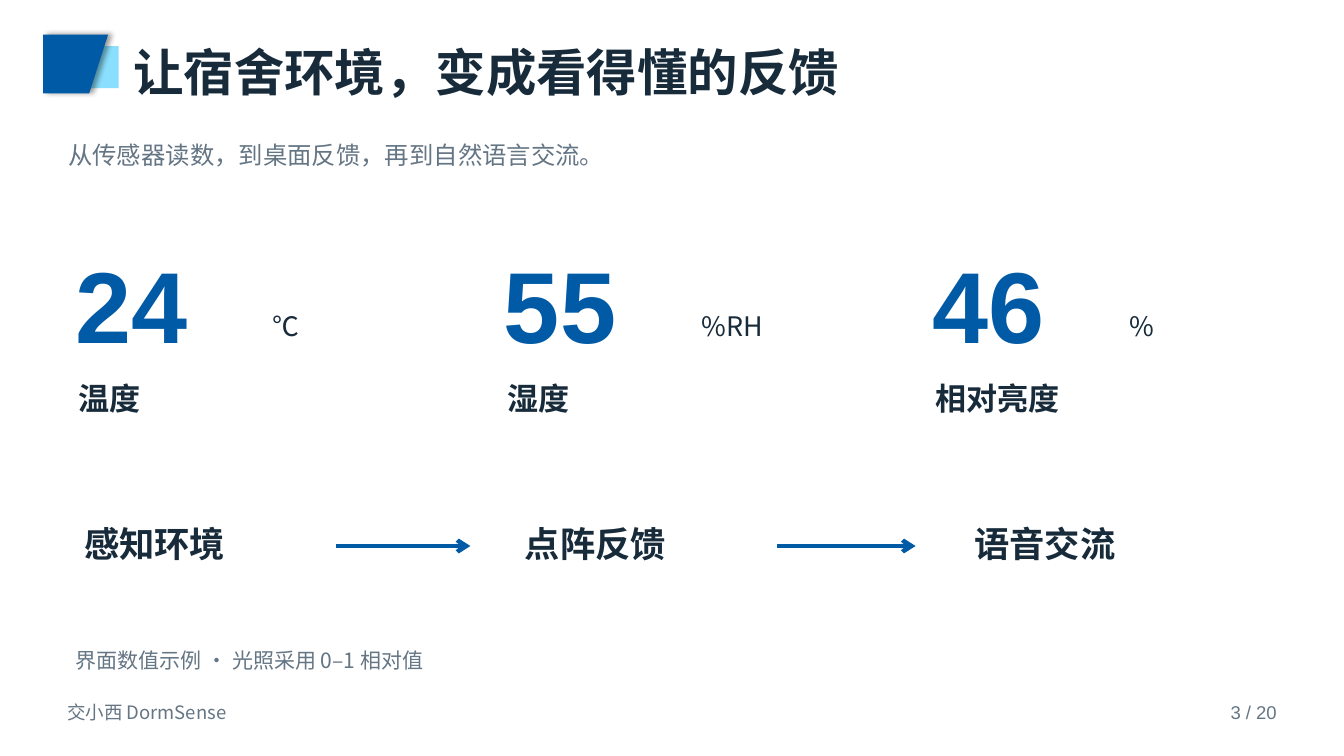
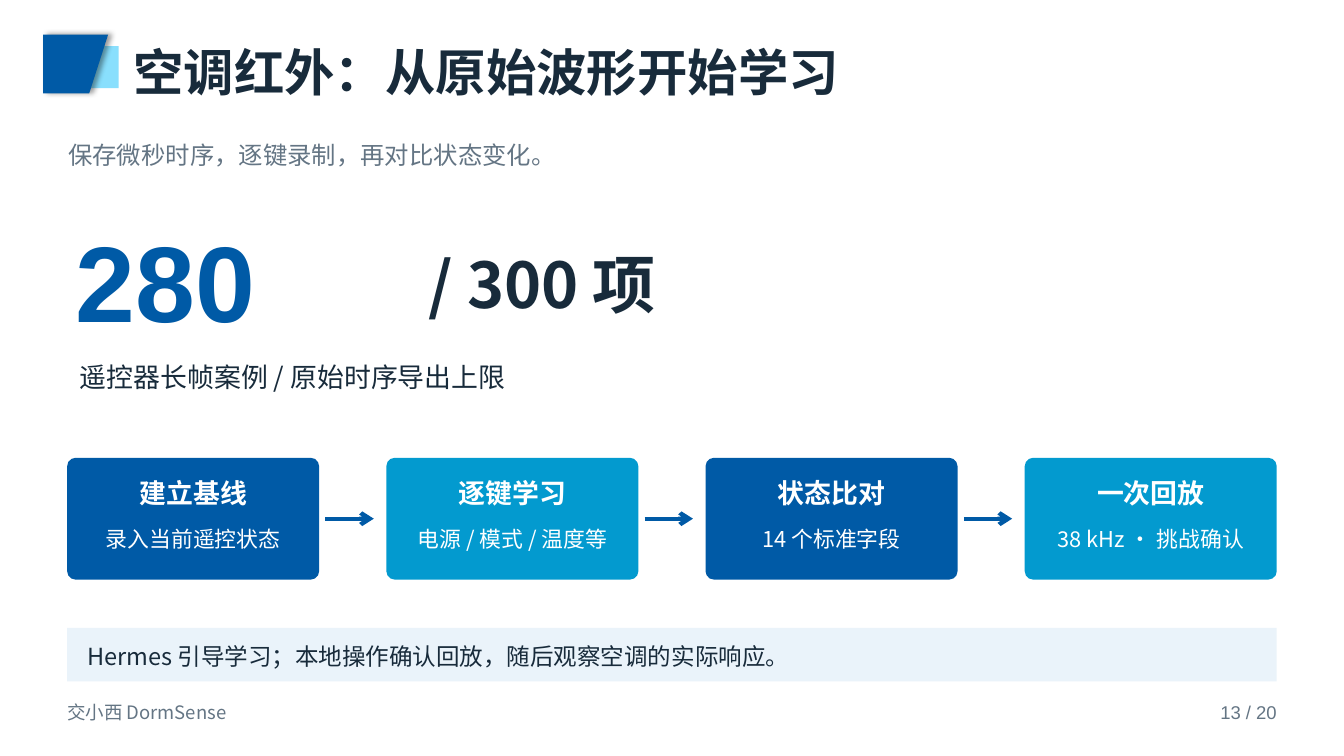
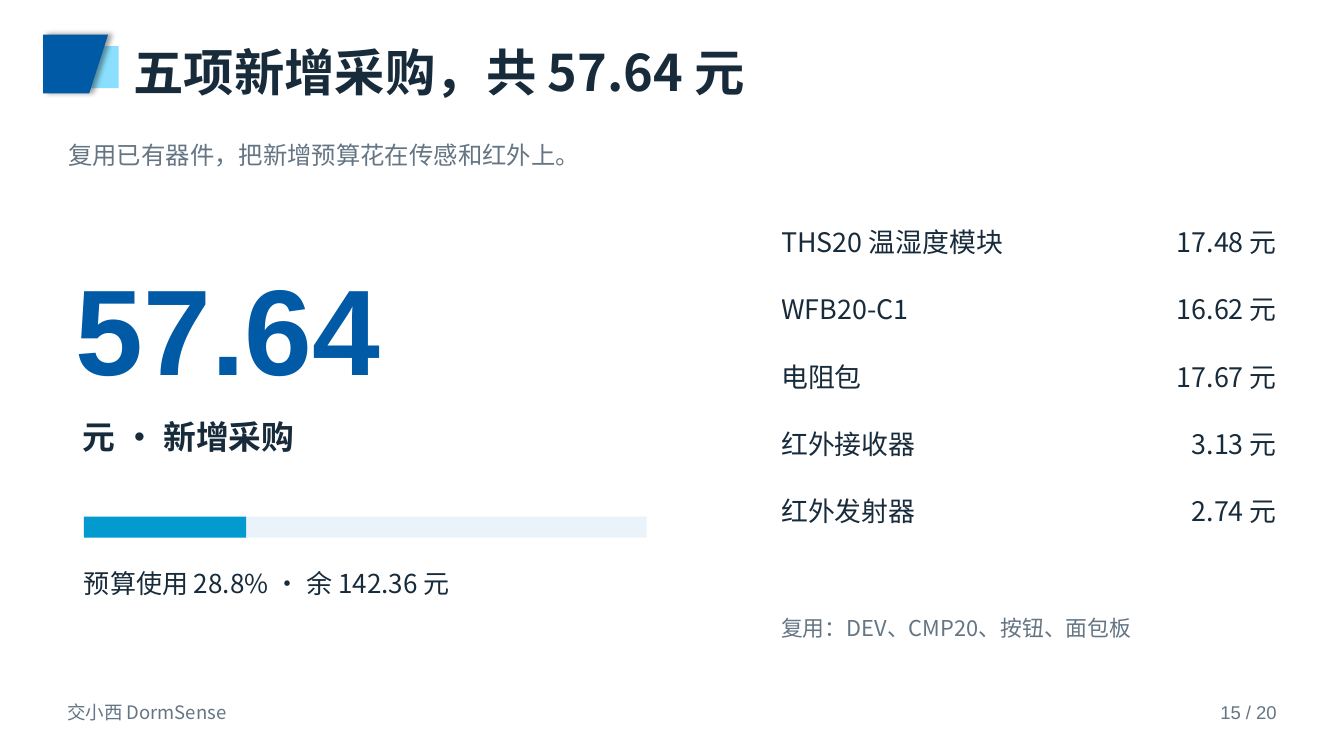
from dataclasses import dataclass

from lxml.etree import SubElement
from pptx import Presentation
from pptx.dml.color import RGBColor
from pptx.enum.shapes import MSO_CONNECTOR as Connector, MSO_SHAPE as Shape
from pptx.enum.text import PP_ALIGN as Align
from pptx.oxml.ns import qn
from pptx.util import Pt

PX = 9525  # EMU per px, 96 px to the inch


@dataclass(frozen=True)
class Style:
    size: float
    color: str
    bold: bool = False
    font: str = "Noto Sans CJK SC"


@dataclass(frozen=True)
class Theme:
    blue: str = "005AA6"
    cyan: str = "039ACF"
    sky: str = "89DFFD"
    pale: str = "EAF3FA"
    white: str = "FFFFFF"
    ink: str = "182B3B"
    gray: str = "647584"
    line_height: float = 1.25
    arrow_width: int = 3

    title = Style(36, ink, True)
    subtitle = Style(17.4, gray)
    footer = Style(13.2, gray)
    page_number = Style(13.2, gray, font="Arial")
    metric = Style(72, blue, True, "Arial")
    count = Style(76.8, blue, True, "Arial")
    total = Style(87, blue, True, "Arial")
    limit = Style(45, ink, True)
    step = Style(25.2, ink, True)
    total_label = Style(23.4, ink, True)
    metric_label = Style(22.2, ink, True)
    body = Style(19.2, ink)
    budget = Style(18.6, ink)
    callout = Style(16.8, ink)
    card_title = Style(19.2, white, True)
    card_detail = Style(15.6, white)
    reuse = Style(15.6, gray)
    note = Style(15, gray)


THEME = Theme()


@dataclass(frozen=True)
class Box:
    left: int
    top: int
    width: int
    height: int

    def inner(self, dx, dy, width, height):
        """Box offset from this one's top left corner."""
        return Box(self.left + dx, self.top + dy, width, height)

    def emu(self):
        return [round(v * PX) for v in (self.left, self.top, self.width, self.height)]


def write(frame, text, style, align=Align.LEFT):
    frame.word_wrap = True
    para = frame.paragraphs[0]
    para.alignment = align
    para.line_spacing = Pt(style.size * THEME.line_height)
    span = para.add_run()
    span.text = text
    font = span.font
    font.size, font.bold, font.name = Pt(style.size), style.bold, style.font
    font.color.rgb = RGBColor.from_string(style.color)
    SubElement(font._element, qn("a:ea"), typeface=style.font)


def add_text(page, box, text, style, align=Align.LEFT):
    frame = page.shapes.add_textbox(*box.emu()).text_frame
    frame.margin_left = frame.margin_right = frame.margin_top = frame.margin_bottom = 0
    write(frame, text, style, align)


def paint(shape, color):
    shape.shadow.inherit = False
    shape.fill.solid()
    shape.fill.fore_color.rgb = RGBColor.from_string(color)
    shape.line.fill.background()


def add_block(page, box, color, radius=0):
    kind = Shape.ROUNDED_RECTANGLE if radius else Shape.RECTANGLE
    shape = page.shapes.add_shape(kind, *box.emu())
    if radius:
        shape.adjustments[0] = radius / min(box.width, box.height)
    paint(shape, color)


def add_arrow(page, start, end, y):
    arrow = page.shapes.add_connector(
        Connector.STRAIGHT, start * PX, y * PX, end * PX, y * PX)
    arrow.line.color.rgb = RGBColor.from_string(THEME.blue)
    arrow.line.width = Pt(THEME.arrow_width)
    SubElement(arrow.line._get_or_add_ln(), qn("a:tailEnd"), type="arrow", w="med", len="med")
    SubElement(arrow._element.spPr, qn("a:effectLst"))


def add_title_mark(page, box):
    """Slanted blue tile with a soft shadow over a light tile."""
    add_block(page, box.inner(25, 11, 47, 40), THEME.sky)
    x, y = box.left, box.top
    outline = page.shapes.build_freeform(x, y, scale=PX)
    outline.add_line_segments([(x + 62, y), (x + 44, y + 56), (x, y + 56)])
    tile = outline.convert_to_shape()
    paint(tile, THEME.blue)
    effects = tile._element.spPr.find(qn("a:effectLst"))
    shadow = SubElement(effects, qn("a:outerShdw"), blurRad=str(Pt(4)), dist=str(Pt(3)),
                        dir="0", algn="l", rotWithShape="0")
    black = SubElement(shadow, qn("a:srgbClr"), val="000000")
    SubElement(black, qn("a:alpha"), val="40000")


def add_page(deck, title, subtitle, number):
    """Blank slide with the shared heading and footer."""
    page = deck.slides.add_slide(deck.slide_layouts[6])
    add_title_mark(page, Box(41, 33, 72, 56))
    add_text(page, Box(127, 37, 1088, 69), title, THEME.title)
    add_text(page, Box(65, 132, 1136, 38), subtitle, THEME.subtitle)
    add_text(page, Box(64, 667, 560, 32), "交小西 DormSense", THEME.footer)
    add_text(page, Box(1120, 667, 96, 32), f"{number} / 20", THEME.page_number, Align.RIGHT)
    return page


def add_metric(page, box, value, unit, label):
    add_text(page, box.inner(0, 0, 244, 130), value, THEME.metric)
    add_text(page, box.inner(188, 68, 104, 41), unit, THEME.body)
    add_text(page, box.inner(3, 134, 308, 47), label, THEME.metric_label)


def add_card(page, box, color, title, detail):
    add_block(page, box, color, radius=8)
    add_text(page, box.inner(10, 17, box.width - 20, 41), title, THEME.card_title, Align.CENTER)
    add_text(page, box.inner(16, 64, box.width - 32, 36), detail, THEME.card_detail, Align.CENTER)


def add_callout(page, box, text):
    add_block(page, box, THEME.pale)
    add_text(page, box.inner(19, 12, box.width - 38, 37), text, THEME.callout)


def add_progress(page, box, share):
    add_block(page, box, THEME.pale)
    add_block(page, box.inner(0, 0, box.width * share, box.height), THEME.cyan)


def add_price_table(page, box, items, price_width):
    table = page.shapes.add_table(len(items), 2, *box.emu()).table
    table.first_row = table.horz_banding = False
    table.columns[0].width = (box.width - price_width) * PX
    table.columns[1].width = price_width * PX
    for row, item in zip(table.rows, items):
        for cell, text, align in zip(row.cells, item, (Align.LEFT, Align.RIGHT)):
            cell.margin_left = cell.margin_right = cell.margin_top = cell.margin_bottom = 0
            cell.fill.solid()
            cell.fill.fore_color.rgb = RGBColor.from_string(THEME.white)
            write(cell.text_frame, text, THEME.body, align)


def build_feedback(deck):
    page = add_page(deck, "让宿舍环境，变成看得懂的反馈",
                    "从传感器读数，到桌面反馈，再到自然语言交流。", 3)
    metrics = [("24", "℃", "温度"), ("55", "%RH", "湿度"), ("46", "%", "相对亮度")]
    for i, metric in enumerate(metrics):
        add_metric(page, Box(72 + 408 * i, 226, 311, 181), *metric)
    for left, step in ((80, "感知环境"), (500, "点阵反馈"), (928, "语音交流")):
        add_text(page, Box(left, 496, 256, 52), step, THEME.step)
    for start, end in ((320, 448), (740, 872)):
        add_arrow(page, start, end, 520)
    add_text(page, Box(72, 616, 1120, 35), "界面数值示例 · 光照采用 0–1 相对值", THEME.note)


def build_infrared(deck):
    page = add_page(deck, "空调红外：从原始波形开始学习",
                    "保存微秒时序，逐键录制，再对比状态变化。", 13)
    add_text(page, Box(72, 200, 352, 137), "280", THEME.count)
    add_text(page, Box(408, 231, 592, 84), "/ 300 项", THEME.limit)
    add_text(page, Box(76, 342, 1120, 41), "遥控器长帧案例 / 原始时序导出上限", THEME.body)
    cards = [("建立基线", "录入当前遥控状态"), ("逐键学习", "电源 / 模式 / 温度等"),
             ("状态比对", "14 个标准字段"), ("一次回放", "38 kHz · 挑战确认")]
    for i, card in enumerate(cards):
        box = Box(64 + 304 * i, 436, 240, 116)
        add_card(page, box, (THEME.blue, THEME.cyan)[i % 2], *card)
        if i < len(cards) - 1:
            right = box.left + box.width
            add_arrow(page, right + 6, right + 52, box.top + box.height // 2)
    add_callout(page, Box(64, 598, 1152, 51),
                "Hermes 引导学习；本地操作确认回放，随后观察空调的实际响应。")


def build_budget(deck):
    page = add_page(deck, "五项新增采购，共 57.64 元",
                    "复用已有器件，把新增预算花在传感和红外上。", 15)
    add_text(page, Box(72, 236, 640, 155), "57.64", THEME.total)
    add_text(page, Box(79, 395, 560, 49), "元 · 新增采购", THEME.total_label)
    add_progress(page, Box(80, 492, 536, 20), 0.288)
    add_text(page, Box(80, 539, 584, 40), "预算使用 28.8% · 余 142.36 元", THEME.budget)
    items = [("THS20 温湿度模块", "17.48 元"), ("WFB20-C1", "16.62 元"), ("电阻包", "17.67 元"),
             ("红外接收器", "3.13 元"), ("红外发射器", "2.74 元")]
    add_price_table(page, Box(744, 216, 472, 320), items, price_width=136)
    add_text(page, Box(744, 584, 472, 35), "复用：DEV、CMP20、按钮、面包板", THEME.reuse)


def main():
    deck = Presentation()
    deck.slide_width, deck.slide_height = 1280 * PX, 720 * PX
    build_feedback(deck)
    build_infrared(deck)
    build_budget(deck)
    deck.save("out.pptx")


if __name__ == "__main__":
    main()
